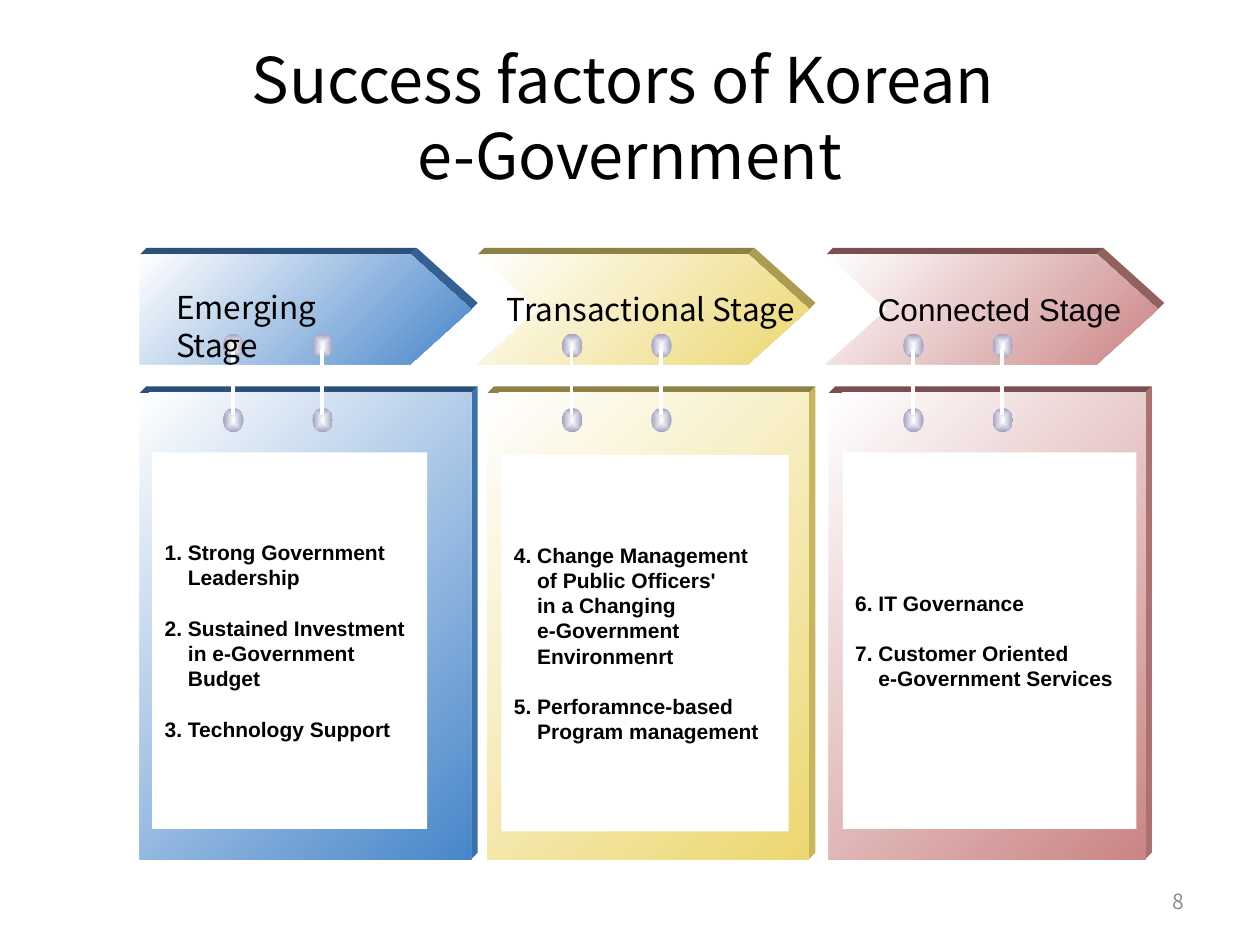
"""Build the slide on success factors of Korean e-Government."""
from lxml.etree import SubElement
from pptx import Presentation
from pptx.dml.color import RGBColor
from pptx.enum.shapes import MSO_CONNECTOR, MSO_SHAPE
from pptx.enum.text import MSO_ANCHOR, PP_ALIGN
from pptx.oxml.ns import qn
from pptx.util import Cm, Pt

SANS = "Noto Sans CJK KR"
STAGES = [
    dict(name="Emerging Stage", font=SANS, color="4886CA", arrow=2.82, panel=(2.82, 6.68),
         card=(3.07, 9.12, 5.54), ring=4.5, start=1,
         items=["Strong Government\vLeadership",
                "Sustained Investment\vin e-Government\vBudget",
                "Technology Support"]),
    dict(name="Transactional Stage", font=SANS, color="ECD770", arrow=9.63, panel=(9.83, 6.48),
         card=(10.11, 9.17, 5.79), ring=11.33, start=4,
         items=["Change Management\vof Public Officers'\vin a Changing\ve-Government\vEnvironmenrt",
                "Perforamnce-based\vProgram management"]),
    dict(name="Connected Stage", font="Arial", color="CB8585", arrow=16.66, panel=(16.71, 6.38),
         card=(16.99, 9.12, 5.92), ring=18.21, start=6,
         items=["IT Governance", "Customer Oriented\ve-Government Services"]),
]
ARROW_TOP, ARROW_W, ARROW_H, ADJ = 5.13, 6.68, 2.21, 0.554
PANEL_TOP, PANEL_H, CARD_H = 7.92, 9.4, 7.59
RING_TOPS, RING_W, RING_H, RING_GAP = (6.73, 8.23), 0.41, 0.48, 1.8
DEPTH = 0.13


def rgb(color):
    return RGBColor.from_string(color)


def shade(color, factor):
    return "".join(f"{int(int(color[i:i + 2], 16) * factor):02X}" for i in (0, 2, 4))


def plain(sp, color):
    sp.shadow.inherit = False
    sp.line.fill.background()
    sp.fill.solid()
    sp.fill.fore_color.rgb = rgb(color)
    return sp


def add(kind, x, y, w, h, color, radial=False, gradient=True):
    sp = plain(s.shapes.add_shape(kind, Cm(x), Cm(y), Cm(w), Cm(h)), color)
    if gradient:
        sp.fill.gradient()
        sp.fill.gradient_angle = 315
        for stop, pos, c in zip(sp.fill.gradient_stops, (0, 1), ("FFFFFF", color)):
            stop.position, stop.color.rgb = pos, rgb(c)
    if radial:
        grad = sp._element.spPr.find(qn("a:gradFill"))
        grad.remove(grad.find(qn("a:lin")))
        to = SubElement(SubElement(grad, qn("a:path"), path="shape"), qn("a:fillToRect"))
        for side in "ltrb":
            to.set(side, "50000")
    return sp


def face(points, color):
    pts = [(Cm(x), Cm(y)) for x, y in points]
    fb = s.shapes.build_freeform(*pts[0])
    fb.add_line_segments(pts[1:])
    plain(fb.convert_to_shape(), color)


def edge(x1, y1, x2, y2, color):
    face([(x1, y1), (x1 + DEPTH, y1 - DEPTH), (x2 + DEPTH, y2 - DEPTH), (x2, y2)], color)


def write(sp, *texts, size=12, font=SANS, color="000000", bold=False, align=PP_ALIGN.LEFT,
          anchor=MSO_ANCHOR.MIDDLE, wrap=True, inset=0.25, start=None):
    tf = sp.text_frame
    tf.word_wrap, tf.vertical_anchor, tf.margin_left = wrap, anchor, Cm(inset)
    for i, text in enumerate(texts):
        p = tf.add_paragraph() if i else tf.paragraphs[0]
        p.text, p.alignment, p.line_spacing = text, align, Pt(size * 1.2)
        if i:
            p.space_before = Pt(size * 1.2)
        if start:
            pPr = p._p.get_or_add_pPr()
            pPr.set("marL", str(Cm(0.47)))
            pPr.set("indent", str(-Cm(0.47)))
            SubElement(pPr, qn("a:buFont"), typeface=font)
            SubElement(pPr, qn("a:buAutoNum"), type="arabicPeriod", startAt=str(start))
        for r in p.runs:
            f = r.font
            f.size, f.name, f.bold, f.color.rgb = Pt(size), font, bold, rgb(color)


def textbox(x, y, w, h, text, **fmt):
    write(s.shapes.add_textbox(Cm(x), Cm(y), Cm(w), Cm(h)), text, **fmt)


def add_arrow(stage, first):
    x, y, color = stage["arrow"], ARROW_TOP, stage["color"]
    tip, shoulder = x + ARROW_W, x + ARROW_W - ADJ * ARROW_H
    edge(x, y, shoulder, y, shade(color, 0.6))
    edge(shoulder, y, tip, y + ARROW_H / 2, shade(color, 0.73))
    kind = MSO_SHAPE.PENTAGON if first else MSO_SHAPE.CHEVRON
    sp = add(kind, x, y, ARROW_W, ARROW_H, color)
    sp.adjustments[0] = ADJ
    if not first:
        write(sp, stage["name"], size=18, font=stage["font"], align=PP_ALIGN.CENTER,
              wrap=False, inset=0.55)


def add_panel(stage):
    (x, w), y, color = stage["panel"], PANEL_TOP, stage["color"]
    edge(x, y, x + w, y, shade(color, 0.6))
    edge(x + w, y, x + w, y + PANEL_H, shade(color, 0.85))
    add(MSO_SHAPE.RECTANGLE, x, y, w, PANEL_H, color)


def add_ring(x):
    for y in RING_TOPS:
        add(MSO_SHAPE.OVAL, x, y, RING_W, RING_H, "A0A0C0", radial=True)
    mid = Cm(x + 0.19)
    c = s.shapes.add_connector(MSO_CONNECTOR.STRAIGHT, mid, Cm(7.04), mid, Cm(8.36))
    c.line.color.rgb, c.line.width = rgb("FFFFFF"), Pt(2.25)
    SubElement(c._element.spPr, qn("a:effectLst"))


prs = Presentation()
prs.slide_width, prs.slide_height = Cm(25.4), Cm(19.05)
s = prs.slides.add_slide(prs.slide_layouts[6])

textbox(1.27, 0.76, 22.86, 3.18, "Success factors of Korean \ve-Government", size=36,
        align=PP_ALIGN.CENTER)
for n, stage in enumerate(STAGES):
    add_arrow(stage, n == 0)
    add_panel(stage)
    for k in range(2):
        add_ring(stage["ring"] + k * RING_GAP)
    x, y, w = stage["card"]
    card = add(MSO_SHAPE.RECTANGLE, x, y, w, CARD_H, "FFFFFF", gradient=False)
    write(card, *stage["items"], font="Arial", bold=True, start=stage["start"])
textbox(3.3, 5.69, 4.6, 1.02, STAGES[0]["name"], size=18, anchor=MSO_ANCHOR.TOP)
textbox(18.21, 17.65, 5.92, 1.02, "8", color="8C8C8C", align=PP_ALIGN.RIGHT)
prs.save("out.pptx")
